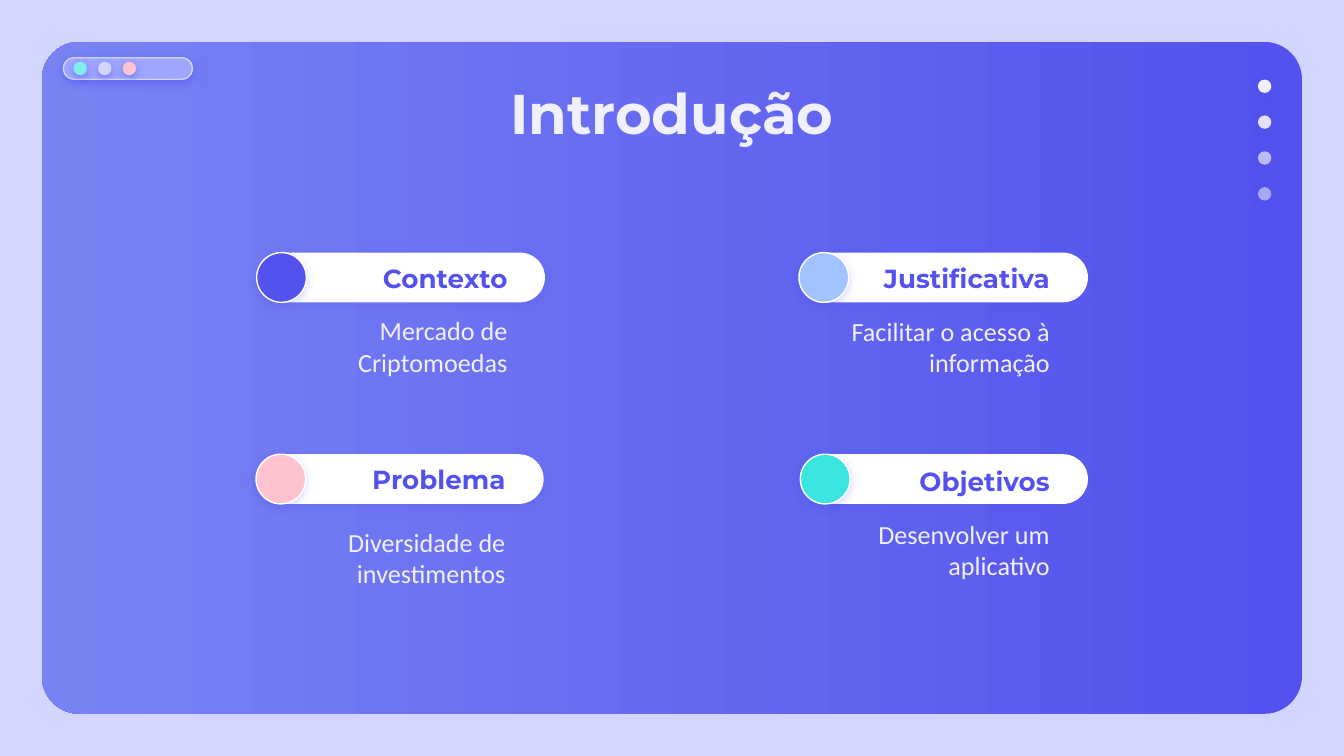
from dataclasses import dataclass

from lxml import etree
from pptx import Presentation
from pptx import util as u
from pptx.dml.color import RGBColor
from pptx.enum import shapes, text
from pptx.oxml.ns import qn

COLUMNS = 100
SLIDE_WIDTH = u.Inches(10)
SLIDE_HEIGHT = SLIDE_WIDTH * 9 // 16
CELL = SLIDE_WIDTH / COLUMNS


@dataclass(frozen=True)
class Theme:
    page: str = "D2D6FF"
    indigo: str = "5352EE"
    periwinkle: str = "7882F3"
    lavender: str = "9EA6FF"
    light: str = "F1F0FF"
    white: str = "FFFFFF"
    mint: str = "81EEEB"
    pink: str = "FFC3D0"
    turquoise: str = "3AE4DF"
    sky: str = "A1C3FF"
    heading_font: str = "Montserrat"
    body_font: str = "Calibri"
    title_size: int = 30
    text_size: int = 14
    line_width: float = 0.75


@dataclass(frozen=True)
class Card:
    heading: str
    body: str
    color: str
    column: float
    row: float
    dot_shift: float = 0
    text_shift: float = 1.75
    heading_drop: float = 0.85
    body_drop: float = 4.35
    body_rows: float = 5.3


THEME = Theme()
CARDS = [
    Card("Contexto", "Mercado de Criptomoedas", THEME.indigo, 19.15, 18.8,
         dot_shift=-0.05, text_shift=1.8, body_drop=3.6, body_rows=6.7),
    Card("Justificativa", "Facilitar o acesso à informação", THEME.sky, 59.55, 18.8,
         dot_shift=-0.1),
    Card("Problema", "Diversidade de investimentos", THEME.pink, 19.05, 33.8,
         heading_drop=0.8, body_rows=6.7),
    Card("Objetivos", "Desenvolver um aplicativo", THEME.turquoise, 59.55, 33.8,
         heading_drop=0.95, body_drop=4.45),
]


def grid(*cells):
    return [u.Emu(round(cell * CELL)) for cell in cells]


def add_alpha(color_element, percent):
    etree.SubElement(color_element, qn("a:alpha"), val=str(percent * 1000))


def add_shadow(shape, percent):
    effects = shape._element.spPr.find(qn("a:effectLst"))
    shadow = etree.SubElement(
        effects, qn("a:outerShdw"), blurRad=str(u.Pt(4.5)), dist=str(u.Pt(1.5)),
        dir="5400000", algn="bl", rotWithShape="0",
    )
    color = etree.SubElement(shadow, qn("a:srgbClr"), val=THEME.indigo)
    add_alpha(color, percent)


def add_shape(slide, kind, cells, fill, line=None, shadow=None, opacity=100, corner=None):
    shape = slide.shapes.add_shape(kind, *grid(*cells))
    shape.shadow.inherit = False
    shape.fill.solid()
    shape.fill.fore_color.rgb = RGBColor.from_string(fill)
    if opacity < 100:
        add_alpha(shape._element.spPr.find(qn("a:solidFill"))[0], opacity)
    if line:
        shape.line.color.rgb = RGBColor.from_string(line)
        shape.line.width = u.Pt(THEME.line_width)
    else:
        shape.line.fill.background()
    if shadow:
        add_shadow(shape, shadow)
    if corner is not None:
        shape.adjustments[0] = corner
    return shape


def add_pill(slide, cells, fill, corner=0.5, **style):
    kind = shapes.MSO_SHAPE.ROUNDED_RECTANGLE
    return add_shape(slide, kind, cells, fill, corner=corner, **style)


def add_dot(slide, column, row, size, fill, **style):
    return add_shape(slide, shapes.MSO_SHAPE.OVAL, (column, row, size, size), fill, **style)


def add_text(slide, content, cells, *, font, size, color, bold=False,
             align=text.PP_ALIGN.RIGHT, anchor=text.MSO_ANCHOR.MIDDLE):
    frame = slide.shapes.add_textbox(*grid(*cells)).text_frame
    frame.word_wrap = True
    frame.vertical_anchor = anchor
    frame.margin_left, frame.margin_top, frame.margin_right, frame.margin_bottom = grid(1, 1, 1, 1)
    paragraph = frame.paragraphs[0]
    paragraph.alignment = align
    run = paragraph.add_run()
    run.text = content
    run.font.name = font
    run.font.size = u.Pt(size)
    run.font.bold = bold
    run.font.color.rgb = RGBColor.from_string(color)


def add_panel(slide):
    panel = add_pill(slide, (3.12, 3.12, 93.76, 50), THEME.indigo, corner=0.056)
    panel.fill.gradient()
    panel.fill.gradient_angle = 180
    for stop, color in zip(panel.fill.gradient_stops, (THEME.indigo, THEME.periwinkle)):
        stop.color.rgb = RGBColor.from_string(color)


def add_window_controls(slide):
    add_pill(slide, (4.72, 4.3, 9.6, 1.6), THEME.lavender, line=THEME.page, shadow=50)
    for index, color in enumerate((THEME.mint, THEME.page, THEME.pink)):
        add_dot(slide, 5.47 + 1.83 * index, 4.6, 1, color, shadow=50)


def add_fading_dots(slide):
    for index, opacity in enumerate((100, 90, 67, 54)):
        add_dot(slide, 93.6, 5.92 + 2.67 * index, 1, THEME.light, shadow=50, opacity=opacity)


def add_card(slide, card):
    text_column = card.column + card.text_shift
    add_pill(slide, (card.column, card.row, 21.4, 3.7), THEME.white, shadow=18)
    add_dot(slide, card.column + card.dot_shift, card.row, 3.7, card.color,
            line=THEME.white, shadow=22)
    add_text(slide, card.heading, (text_column, card.row + card.heading_drop, 17.8, 2.1),
             font=THEME.heading_font, size=THEME.text_size, color=THEME.indigo, bold=True)
    add_text(slide, card.body, (text_column, card.row + card.body_drop, 17.8, card.body_rows),
             font=THEME.body_font, size=THEME.text_size, color=THEME.light)


def main():
    presentation = Presentation()
    presentation.slide_width = SLIDE_WIDTH
    presentation.slide_height = SLIDE_HEIGHT
    slide = presentation.slides.add_slide(presentation.slide_layouts[6])
    slide.background.fill.solid()
    slide.background.fill.fore_color.rgb = RGBColor.from_string(THEME.page)
    add_panel(slide)
    add_window_controls(slide)
    add_fading_dots(slide)
    add_text(slide, "Introdução", (7.85, 4.85, 84.3, 6.3), font=THEME.heading_font,
             size=THEME.title_size, color=THEME.light, bold=True,
             align=text.PP_ALIGN.CENTER, anchor=text.MSO_ANCHOR.TOP)
    for card in CARDS:
        add_card(slide, card)
    presentation.save("out.pptx")


if __name__ == "__main__":
    main()
